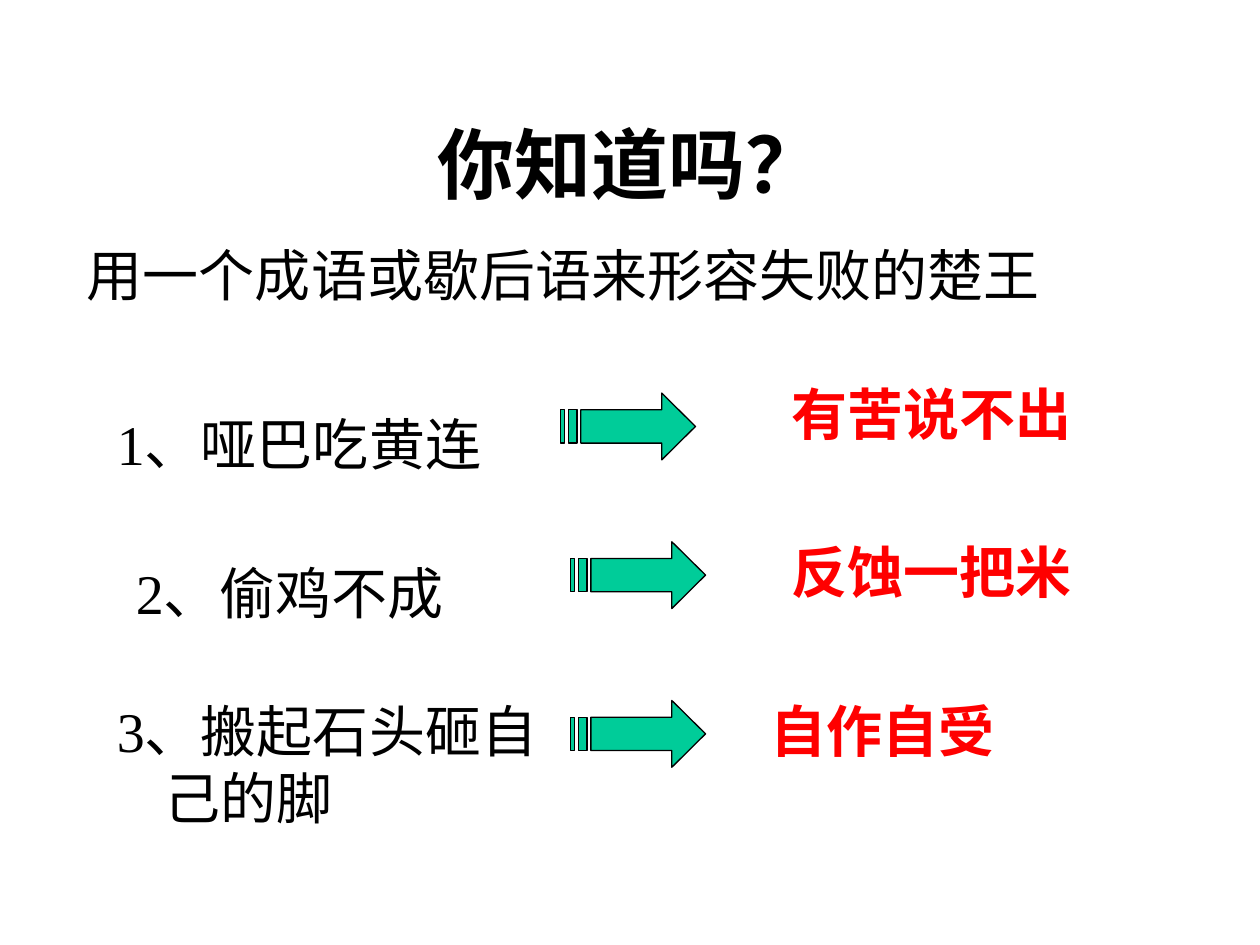
from pptx import Presentation
from pptx.dml.color import RGBColor
from pptx.enum import text
from pptx.util import Inches, Pt

COLORS = {"text": "000000", "answer": "FF0000", "arrow": "00CC99", "outline": "000000"}
FONT = "Times New Roman"
HANG = 0.38
ARROW_W, ARROW_H = 1.07, 0.53

# saying, its box; left and top of the arrow; answer, its box
RIDDLES = [
    ("1、哑巴吃黄连", (0.83, 3.2, 3.7, 0.63), (4.45, 3.12), "有苦说不出", (6.18, 2.96, 2.99, 0.63)),
    ("2、偷鸡不成", (0.98, 4.38, 3.7, 0.63), (4.53, 4.3), "反蚀一把米", (6.18, 4.22, 2.91, 0.63)),
    ("3、搬起石头砸自己的脚", (0.83, 5.48, 3.7, 0.63), (4.53, 5.56), "自作自受", (6.02, 5.48, 2.68, 0.63)),
]


def place(sp, box):
    sp.left, sp.top, sp.width, sp.height = map(Inches, box)


def write(sp, words, size, color, bold=False):
    tf = sp.text_frame
    tf.text = words
    tf.word_wrap = True
    tf.auto_size = text.MSO_AUTO_SIZE.NONE
    p = tf.paragraphs[0]
    p.space_before = Pt(0)
    font = p.runs[0].font
    font.name, font.size, font.bold = FONT, Pt(size), bold
    font.color.rgb = RGBColor.from_string(COLORS[color])
    return p


def hang(p):
    """Give the paragraph a hanging indent without a bullet."""
    pPr = p._p.get_or_add_pPr()
    pPr.set("marL", str(Inches(HANG)))
    pPr.set("indent", str(-Inches(HANG)))
    pPr.insert_element_before(pPr.makeelement(
        "{http://schemas.openxmlformats.org/drawingml/2006/main}buNone", {}),
        "a:tabLst", "a:defRPr", "a:extLst")


def add_title(s, box):
    sp = s.shapes.title
    place(sp, box)
    p = write(sp, "你知道吗？", 44, "text", bold=True)
    p.alignment = text.PP_ALIGN.CENTER
    sp.text_frame.vertical_anchor = text.MSO_ANCHOR.MIDDLE


def add_question(s, box):
    sp = s.placeholders[1]
    place(sp, box)
    hang(write(sp, "用一个成语或歇后语来形容失败的楚王", 32, "text"))


def add_line(s, box, words, color, bold=False):
    sp = s.shapes.add_textbox(*map(Inches, box))
    hang(write(sp, words, 32, color, bold))


def add_striped_arrow(s, left, top):
    """Draw an arrow whose tail ends in two stripes."""
    upper, lower, neck = ARROW_H / 4, ARROW_H * 3 / 4, ARROW_W * 3 / 4
    head = [(neck, 0), (neck, upper), (0.16, upper), (0.16, lower),
            (neck, lower), (neck, ARROW_H), (ARROW_W, ARROW_H / 2)]
    stripes = [[(x1, upper), (x1, lower), (x2, lower), (x2, upper)]
               for x1, x2 in ((0.06, 0.13), (0, 0.03))]
    points = [[(Inches(left + x), Inches(top + y)) for x, y in part]
              for part in [head, *stripes]]
    builder = s.shapes.build_freeform(*points[0][0])
    for i, part in enumerate(points):
        if i:
            builder.move_to(*part[0])
        builder.add_line_segments(part[1:], close=True)
    sp = builder.convert_to_shape()
    sp.shadow.inherit = False
    sp.fill.solid()
    sp.fill.fore_color.rgb = RGBColor.from_string(COLORS["arrow"])
    sp.line.color.rgb = RGBColor.from_string(COLORS["outline"])
    sp.line.width = Pt(0.75)


def add_riddle(s, saying, saying_box, arrow_at, answer, answer_box):
    add_line(s, saying_box, saying, "text")
    add_striped_arrow(s, *arrow_at)
    add_line(s, answer_box, answer, "answer", bold=True)


def main():
    prs = Presentation()
    prs.slide_width, prs.slide_height = Inches(10), Inches(7.5)
    s = prs.slides.add_slide(prs.slide_layouts[1])
    add_title(s, (0.75, 0.67, 8.5, 1.25))
    add_question(s, (0.59, 1.86, 8.5, 0.87))
    for riddle in RIDDLES:
        add_riddle(s, *riddle)
    prs.save("out.pptx")


if __name__ == "__main__":
    main()
